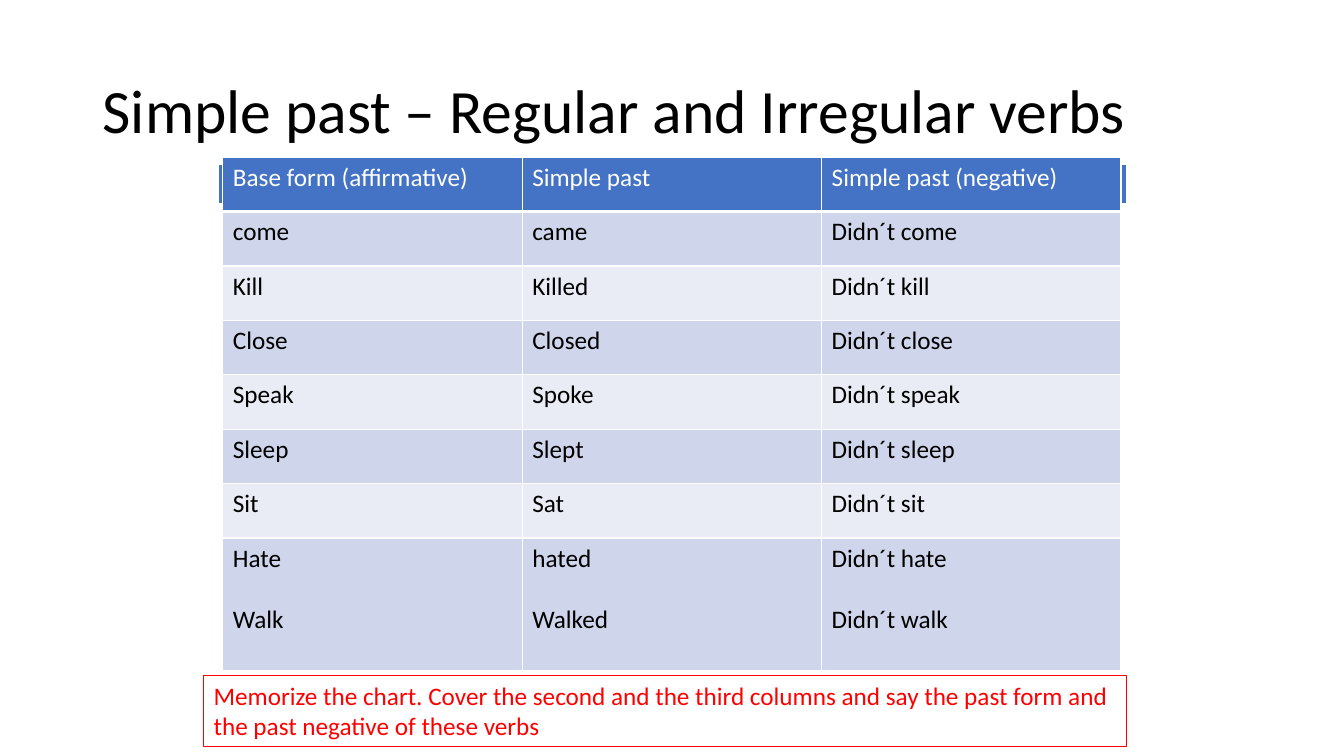
"""Build a slide with a chart of regular and irregular past verbs."""
from lxml.etree import SubElement
from pptx import Presentation
from pptx.dml.color import RGBColor as RGB
from pptx.enum.text import MSO_ANCHOR as Anchor
from pptx.oxml.ns import qn
from pptx.util import Inches, Pt


def style(part, size, color):
    look = {"name": "Calibri", "size": Pt(size), "bold": False}
    for key, value in look.items():
        setattr(part.font, key, value)
    part.font.color.rgb = RGB.from_string(color)


def paint(cell, color, base):
    cell.fill.solid()
    cell.fill.fore_color.rgb = RGB.from_string(color)
    props = cell._tc.get_or_add_tcPr()
    sides = {"lnL": 1, "lnR": 1, "lnT": 1, "lnB": base}
    for place, (side, width) in enumerate(sides.items()):
        line = props.makeelement(qn("a:" + side), {"w": str(Pt(width))})
        fill = SubElement(line, qn("a:solidFill"))
        SubElement(fill, qn("a:srgbClr"), val="FFFFFF")
        props.insert(place, line)


deck = Presentation()
deck.slide_width, deck.slide_height = Inches(13.33), Inches(7.5)
slide = deck.slides.add_slide(deck.slide_layouts[6])
shapes = slide.shapes

title = shapes.add_textbox(Inches(0.92), Inches(0.4), Inches(11.5), Inches(1.45))
frame = title.text_frame
frame.word_wrap = True
frame.vertical_anchor = Anchor.MIDDLE
frame.text = "Simple past – Regular and Irregular verbs"
frame.paragraphs[0].line_spacing = 0.9
style(frame.paragraphs[0], 44, "000000")

strip = shapes.add_table(1, 3, Inches(2.17), Inches(1.63), Inches(9), Inches(0.4)).table
for cell in strip.iter_cells():
    paint(cell, "4472C4", 3)
    style(cell.text_frame.paragraphs[0], 18, "FFFFFF")

verbs = [
    ["Base form (affirmative)", "Simple past", "Simple past (negative)"],
    ["come", "came", "Didn´t come"],
    ["Kill", "Killed", "Didn´t kill"],
    ["Close", "Closed", "Didn´t close"],
    ["Speak", "Spoke", "Didn´t speak"],
    ["Sleep", "Slept", "Didn´t sleep"],
    ["Sit", "Sat", "Didn´t sit"],
    ["Hate\nWalk", "hated\nWalked", "Didn´t hate\nDidn´t walk"],
]
chart = shapes.add_table(
    len(verbs), 3, Inches(2.21), Inches(1.56), Inches(8.91), Inches(5.07)
).table
for table in (strip, chart):
    table.first_row = table.horz_banding = False
for row, words in enumerate(verbs):
    head = row == 0
    chart.rows[row].height = Inches(1.31 if row == len(verbs) - 1 else 0.54)
    fill = "4472C4" if head else ("E9EBF5", "CFD5EA")[row % 2]
    for col, text in enumerate(words):
        cell = chart.cell(row, col)
        cell.text = text
        paint(cell, fill, 3 if head else 1)
        for place, para in enumerate(cell.text_frame.paragraphs):
            para.space_before = Pt(22 * place)
            style(para, 18, "FFFFFF" if head else "000000")

note = shapes.add_textbox(Inches(2.02), Inches(6.7), Inches(9.15), Inches(0.71))
note.line.color.rgb = RGB.from_string("FF0000")
note.line.width = Pt(0.75)
note.text_frame.word_wrap = True
note.text_frame.text = (
    "Memorize the chart. Cover the second and the third columns "
    "and say the past form and the past negative of these verbs"
)
style(note.text_frame.paragraphs[0], 18, "FF0000")

deck.save("out.pptx")
